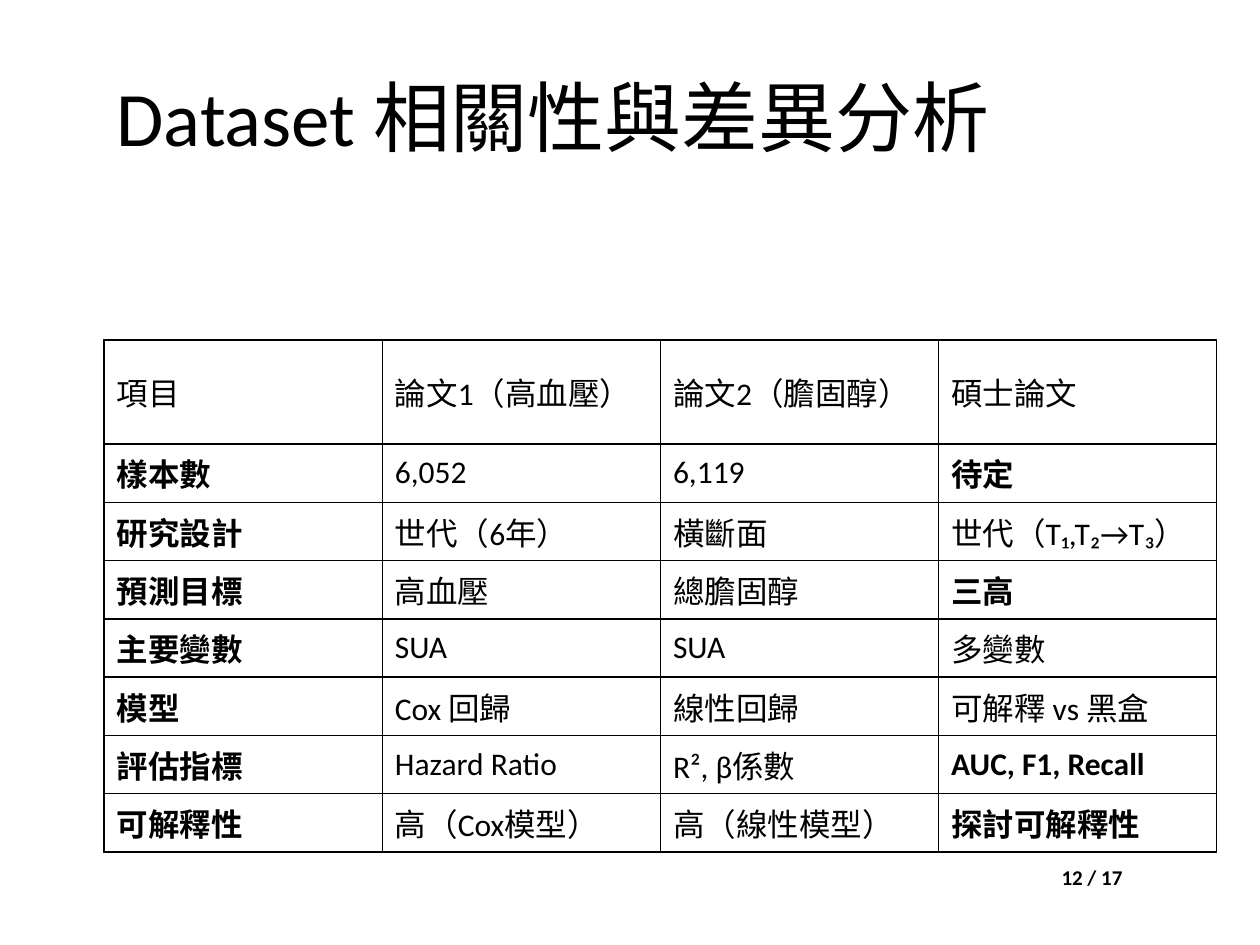
from lxml.etree import SubElement
from pptx import Presentation
from pptx.dml.color import RGBColor
from pptx.enum.text import MSO_ANCHOR as Anchor, PP_ALIGN as Align
from pptx.oxml.ns import qn
from pptx.util import Cm, Pt

FONT = "Calibri"
BLACK, WHITE = "000000", "FFFFFF"

HEADER = ["項目", "論文1（高血壓）", "論文2（膽固醇）", "碩士論文"]
ROWS = [
    ["樣本數", "6,052", "6,119", "待定"],
    ["研究設計", "世代（6年）", "橫斷面", "世代（T₁,T₂→T₃）"],
    ["預測目標", "高血壓", "總膽固醇", "三高"],
    ["主要變數", "SUA", "SUA", "多變數"],
    ["模型", "Cox 回歸", "線性回歸", "可解釋 vs 黑盒"],
    ["評估指標", "Hazard Ratio", "R², β係數", "AUC, F1, Recall"],
    ["可解釋性", "高（Cox模型）", "高（線性模型）", "探討可解釋性"],
]
# Values in the thesis column that stand out
EMPHASIZED = {"待定", "三高", "AUC, F1, Recall", "探討可解釋性"}


def color(hex_code):
    return RGBColor.from_string(hex_code)


def write(frame, text, **formats):
    """Fill a text frame with one left-aligned line of formatted text."""
    para = frame.paragraphs[0]
    para.alignment = Align.LEFT
    span = para.add_run()
    span.text = text
    for name, value in ({"name": FONT, "bold": False} | formats).items():
        setattr(span.font, name, value)
    span.font.color.rgb = color(BLACK)


def add_label(page, box, text, anchor, **formats):
    frame = page.shapes.add_textbox(*box).text_frame
    frame.word_wrap = True
    frame.vertical_anchor = anchor
    write(frame, text, **formats)


def add_borders(cell, width=Pt(1)):
    properties = cell._tc.get_or_add_tcPr()
    for side in ("a:lnL", "a:lnR", "a:lnT", "a:lnB"):
        line = SubElement(properties, qn(side), w=str(width))
        fill = SubElement(line, qn("a:solidFill"))
        SubElement(fill, qn("a:srgbClr"), val=BLACK)


def add_comparison(page, box, header_height):
    """Compare the studies: a tall header row, then equal rows."""
    left, top, width, height = box
    grid = [HEADER] + ROWS
    table = page.shapes.add_table(len(grid), len(HEADER), *box).table
    table.first_row = table.horz_banding = False
    for column in table.columns:
        column.width = width // len(HEADER)
    for row in table.rows:
        row.height = (height - header_height) // len(ROWS)
    table.rows[0].height = header_height

    for row_index, values in enumerate(grid):
        for column_index, text in enumerate(values):
            cell = table.cell(row_index, column_index)
            add_borders(cell)
            cell.fill.solid()
            cell.fill.fore_color.rgb = color(WHITE)
            cell.vertical_anchor = Anchor.MIDDLE
            is_row_name = row_index > 0 and column_index == 0
            write(cell.text_frame, text, size=Pt(18),
                  bold=is_row_name or text in EMPHASIZED)


def main():
    deck = Presentation()
    deck.slide_width, deck.slide_height = Cm(25.4), Cm(19.05)
    page = deck.slides.add_slide(deck.slide_layouts[6])

    # Title
    add_label(page, (Cm(2.1), Cm(0.75), Cm(22.43), Cm(3.18)),
              "Dataset 相關性與差異分析", Anchor.MIDDLE, size=Pt(44))
    # Comparison table
    add_comparison(page, (Cm(2.1), Cm(6.85), Cm(22.43), Cm(10.33)), Cm(2.1))
    # Page number
    add_label(page, (Cm(21.15), Cm(17.3), Cm(3.53), Cm(0.77)),
              "12 / 17", Anchor.TOP, size=Pt(12), bold=True)

    deck.save("out.pptx")


if __name__ == "__main__":
    main()
